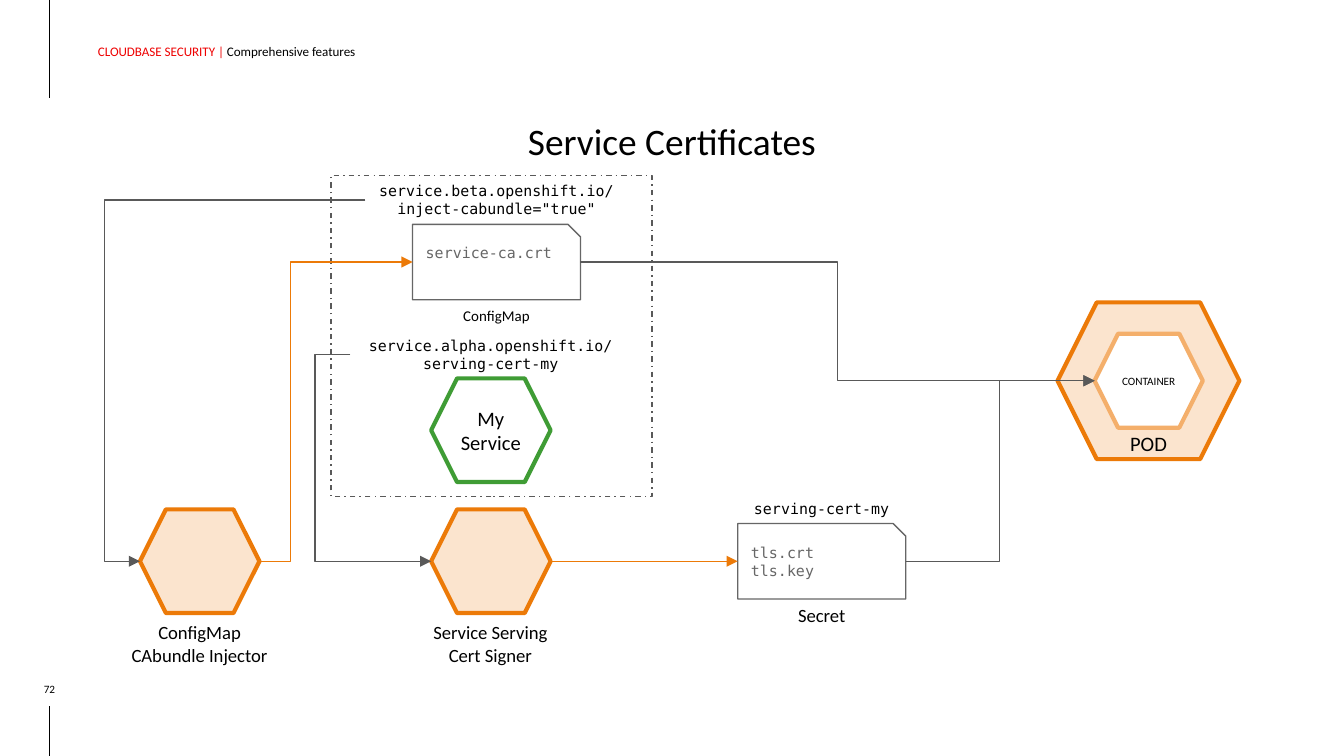
"""Build the Service Certificates diagram slide."""
from lxml import etree
from pptx import Presentation
from pptx.dml.color import RGBColor
from pptx.enum import dml, shapes, text
from pptx.oxml import ns
from pptx.util import Pt

SANS, MONO = "Calibri", "DejaVu Sans Mono"
BLACK, RED, GREY, DARK = "000000", "EE0000", "666666", "595959"
ORANGE, PEACH, WHITE = "EC7A08", "FBE4CE", "FFFFFF"
TOP, MIDDLE, BOTTOM = text.MSO_ANCHOR.TOP, text.MSO_ANCHOR.MIDDLE, text.MSO_ANCHOR.BOTTOM
LEFT, CENTER = text.PP_ALIGN.LEFT, text.PP_ALIGN.CENTER
HEXAGON, NOTE = shapes.MSO_SHAPE.HEXAGON, shapes.MSO_SHAPE.SNIP_1_RECTANGLE
STRAIGHT, ELBOW = shapes.MSO_CONNECTOR.STRAIGHT, shapes.MSO_CONNECTOR.ELBOW


def write(sp, paragraphs, size, font=SANS, anchor=MIDDLE, align=CENTER, inset=(0, 0, 0, 0)):
    """Fill a shape with paragraphs, each a list of (text, colour) runs."""
    tf = sp.text_frame
    tf.word_wrap = True
    tf.auto_size = text.MSO_AUTO_SIZE.NONE
    tf.vertical_anchor = anchor
    tf.margin_left, tf.margin_top, tf.margin_right, tf.margin_bottom = map(Pt, inset)
    for i, runs in enumerate(paragraphs):
        p = tf.paragraphs[0] if i == 0 else tf.add_paragraph()
        p.alignment = align
        for words, color in runs:
            for j, line in enumerate(words.split("\n")):
                if j:
                    p.add_line_break()
                r = p.add_run()
                r.text = line
                r.font.size, r.font.name = Pt(size), font
                r.font.color.rgb = RGBColor.from_string(color)


def connect(kind, x1, y1, x2, y2, color, arrow=True):
    """Draw a thin connector, with an arrowhead at its end if asked."""
    cx = s.shapes.add_connector(kind, Pt(x1), Pt(y1), Pt(x2), Pt(y2))
    cx.line.color.rgb = RGBColor.from_string(color)
    cx.line.width = Pt(0.75)
    if arrow:
        etree.SubElement(cx.line._get_or_add_ln(), ns.qn("a:tailEnd"), type="triangle")
    etree.SubElement(cx._element.spPr, ns.qn("a:effectLst"))
    return cx


prs = Presentation()
prs.slide_width, prs.slide_height = Pt(720), Pt(405)
s = prs.slides.add_slide(prs.slide_layouts[5])

for y1, y2 in ((52.5, 0), (405, 378)):
    connect(STRAIGHT, 26.5, y1, 26.5, y2, BLACK, arrow=False)

title = s.shapes.title
title.left, title.top, title.width, title.height = Pt(104), Pt(56), Pt(512), Pt(57)
write(title, [[("Service Certificates", BLACK)]], 20, anchor=TOP)
title.text_frame.paragraphs[0].line_spacing = 1.3

header = s.shapes.add_textbox(Pt(26.5), Pt(3.6), Pt(304), Pt(48))
write(header, [[("CLOUDBASE SECURITY | ", RED), ("Comprehensive features", BLACK)]], 7,
      align=LEFT, inset=(26, 5, 5, 5))
number = s.shapes.add_textbox(Pt(5), Pt(364.3), Pt(43), Pt(8.6))
write(number, [[("72", BLACK)]], 6, anchor=BOTTOM)

frame = s.shapes.add_shape(shapes.MSO_SHAPE.RECTANGLE, Pt(177.3), Pt(94), Pt(172), Pt(172))
frame.shadow.inherit = False
frame.fill.background()
frame.line.color.rgb = RGBColor.from_string(DARK)
frame.line.width = Pt(0.75)
frame.line.dash_style = dml.MSO_LINE.DASH_DOT

hexagons = [
    (566.6, 162, 97.4, 84, PEACH, ORANGE, "", 11),
    (586.4, 178.8, 58, 50.4, WHITE, "F4AF6B", "CONTAINER", 6),
    (231, 202.7, 64, 55.6, WHITE, "3F9C35", "My\nService", 11),
    (231, 272.9, 64, 55.6, PEACH, ORANGE, "", 11),
    (75, 272.9, 64, 55.6, PEACH, ORANGE, "", 11),
]
for x, y, w, h, fill, line, words, size in hexagons:
    sp = s.shapes.add_shape(HEXAGON, Pt(x), Pt(y), Pt(w), Pt(h))
    sp.shadow.inherit = False
    sp.fill.solid()
    sp.fill.fore_color.rgb = RGBColor.from_string(fill)
    sp.line.color.rgb = RGBColor.from_string(line)
    sp.line.width = Pt(2.25)
    if words:
        write(sp, [[(words, BLACK)]], size)

notes = []
for x, y, files in ((221, 120.2, ["service-ca.crt"]), (395.2, 280.5, ["tls.crt", "tls.key"])):
    sp = s.shapes.add_shape(NOTE, Pt(x), Pt(y), Pt(90), Pt(40.4))
    sp.shadow.inherit = False
    sp.fill.solid()
    sp.fill.fore_color.rgb = RGBColor.from_string(WHITE)
    sp.line.color.rgb = RGBColor.from_string(GREY)
    sp.line.width = Pt(0.75)
    write(sp, [[(name, GREY)] for name in files], 8, MONO, TOP, LEFT, [7.2] * 4)
    notes.append(sp)

labels = [
    (195.8, 95, 140.6, 24, 'service.beta.openshift.io/\ninject-cabundle="true"', 8, MONO, MIDDLE),
    (221, 160.6, 90, 16.6, "ConfigMap", 8, SANS, MIDDLE),
    (187.8, 178, 150.4, 24, "service.alpha.openshift.io/\nserving-cert-my", 8, MONO, MIDDLE),
    (395.2, 264.2, 90, 16.6, "serving-cert-my", 8, MONO, MIDDLE),
    (395.2, 321, 90, 16.6, "Secret", 10, SANS, MIDDLE),
    (57.6, 325.6, 98.6, 34, "ConfigMap CAbundle Injector", 10, SANS, TOP),
    (217, 325.6, 91.4, 34, "Service Serving Cert Signer", 10, SANS, TOP),
    (566.6, 229, 97.4, 17, "POD", 11, SANS, MIDDLE),
]
for x, y, w, h, words, size, font, anchor in labels:
    sp = s.shapes.add_textbox(Pt(x), Pt(y), Pt(w), Pt(h))
    inset = (7.2, 7.2, 7.2, 7.2) if anchor == TOP else (7.2, 0, 7.2, 0)
    write(sp, [[(words, BLACK)]], size, font, anchor, inset=inset)

signer_arrow = connect(STRAIGHT, 295, 300.7, 395.2, 300.7, ORANGE)
signer_arrow.end_connect(notes[1], 1)

elbows = [
    (187.8, 190, 231, 300.7, 168.8, DARK),
    (195.8, 107.2, 75, 300.7, 56.2, DARK),
    (139, 300.7, 221, 140.4, 155.7, ORANGE),
    (485.2, 300.7, 586.4, 204, 535.5, DARK),
    (311, 140.4, 586.4, 204, 448.7, DARK),
]
for x1, y1, x2, y2, bend, color in elbows:
    cx = connect(ELBOW, x1, y1, x2, y2, color)
    ratio = round((bend - x1) / (x2 - x1) * 100000)
    guides = cx._element.spPr.find(ns.qn("a:prstGeom")).get_or_add_avLst()
    etree.SubElement(guides, ns.qn("a:gd"), name="adj1", fmla=f"val {ratio}")

prs.save("out.pptx")
